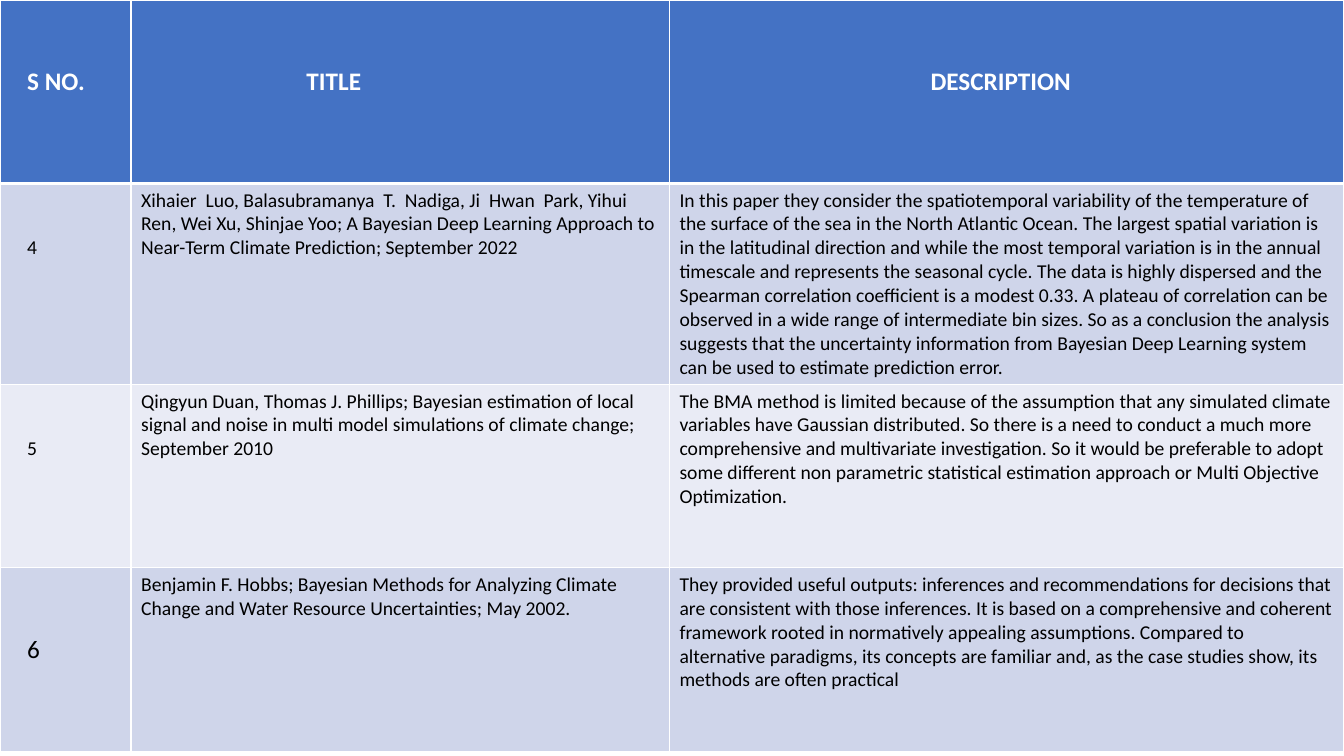
from dataclasses import dataclass

from lxml.etree import SubElement
from pptx import Presentation
from pptx.dml.color import RGBColor
from pptx.oxml.ns import qn
from pptx.table import _Cell
from pptx.util import Inches, Pt

COLORS = {
    "header": "4472C4",
    "band_dark": "CFD5EA",
    "band_light": "E9EBF5",
    "white": "FFFFFF",
    "black": "000000",
}
FONT = "Calibri"
SLIDE_W, SLIDE_H = 13.33, 7.5
COLUMNS = (1.3, 5.34, 6.69)
ROW = 1.82
PAD_X, PAD_Y = 0.1, 0.05
LINES_ABOVE = 2
LINE_HEIGHT = 1.22


@dataclass(frozen=True)
class CellStyle:
    fill: str
    size: int = 14
    color: str = "black"
    bold: bool = False
    indent: float = PAD_X
    lowered: bool = False
    top_line: int = 1
    bottom_line: int = 1


@dataclass(frozen=True)
class Paper:
    number: str
    title: str
    description: str
    number_size: int = 14


HEADINGS = (("S NO.", 0.27), ("TITLE", 1.74), ("DESCRIPTION", 2.59))

PAPERS = (
    Paper(
        "4",
        "Xihaier  Luo, Balasubramanya  T.  Nadiga, Ji  Hwan  Park, Yihui Ren, Wei Xu, "
        "Shinjae Yoo; A Bayesian Deep Learning Approach to Near-Term Climate Prediction; "
        "September 2022",
        "In this paper they consider the spatiotemporal variability of the temperature of "
        "the surface of the sea in the North Atlantic Ocean. The largest spatial variation "
        "is in the latitudinal direction and while the most temporal variation is in the "
        "annual timescale and represents the seasonal cycle. The data is highly dispersed "
        "and the Spearman correlation coefficient is a modest 0.33. A plateau of "
        "correlation can be observed in a wide range of intermediate bin sizes. So as a "
        "conclusion the analysis suggests that the uncertainty information from Bayesian "
        "Deep Learning system can be used to estimate prediction error.",
    ),
    Paper(
        "5",
        "Qingyun Duan, Thomas J. Phillips; Bayesian estimation of local signal and noise "
        "in multi model simulations of climate change;\nSeptember 2010",
        "The BMA method is limited because of the assumption that any simulated climate "
        "variables have Gaussian distributed. So there is a need to conduct a much more "
        "comprehensive and multivariate investigation. So it would be preferable to adopt "
        "some different non parametric statistical estimation approach or Multi Objective "
        "Optimization.",
    ),
    Paper(
        "6",
        "Benjamin F. Hobbs; Bayesian Methods for Analyzing Climate Change and Water "
        "Resource Uncertainties; May 2002.",
        "They provided useful outputs: inferences and recommendations for decisions that "
        "are consistent with those inferences. It is based on a comprehensive and coherent "
        "framework rooted in normatively appealing assumptions. Compared to alternative "
        "paradigms, its concepts are familiar and, as the case studies show, its methods "
        "are often practical",
        number_size=18,
    ),
)


def rgb(name: str) -> RGBColor:
    return RGBColor.from_string(COLORS[name])


def add_borders(cell: _Cell, style: CellStyle) -> None:
    tc_pr = cell._tc.get_or_add_tcPr()
    widths = {"lnL": 1, "lnR": 1, "lnT": style.top_line, "lnB": style.bottom_line}
    for i, (tag, width) in enumerate(widths.items()):
        ln = SubElement(tc_pr, qn(f"a:{tag}"), w=str(Pt(width)))
        fill = SubElement(ln, qn("a:solidFill"))
        SubElement(fill, qn("a:srgbClr"), val=COLORS["white"])
        tc_pr.insert(i, ln)


def fill_cell(cell: _Cell, text: str, style: CellStyle) -> None:
    cell.fill.solid()
    cell.fill.fore_color.rgb = rgb(style.fill)
    add_borders(cell, style)
    drop = LINES_ABOVE * LINE_HEIGHT * style.size / 72 if style.lowered else 0
    cell.margin_left, cell.margin_right = Inches(style.indent), Inches(PAD_X)
    cell.margin_top, cell.margin_bottom = Inches(PAD_Y + drop), Inches(PAD_Y)
    cell.text_frame.text = text
    for p in cell.text_frame.paragraphs:
        for r in p.runs:
            r.font.name = FONT
            r.font.size = Pt(style.size)
            r.font.bold = style.bold
            r.font.color.rgb = rgb(style.color)


def main() -> None:
    prs = Presentation()
    prs.slide_width, prs.slide_height = Inches(SLIDE_W), Inches(SLIDE_H)
    slide = prs.slides.add_slide(prs.slide_layouts[6])
    n_rows = len(PAPERS) + 1
    table = slide.shapes.add_table(
        n_rows, len(COLUMNS), 0, 0, Inches(sum(COLUMNS)), Inches(n_rows * ROW)
    ).table
    for column, width in zip(table.columns, COLUMNS):
        column.width = Inches(width)
    for row in table.rows:
        row.height = Inches(ROW)

    for col, (heading, indent) in enumerate(HEADINGS):
        style = CellStyle("header", 18, "white", True, indent, True, bottom_line=3)
        fill_cell(table.cell(0, col), heading, style)

    for row, paper in enumerate(PAPERS, start=1):
        band = "band_dark" if row % 2 else "band_light"
        top_line = 3 if row == 1 else 1
        number = CellStyle(band, paper.number_size, indent=HEADINGS[0][1],
                           lowered=True, top_line=top_line)
        body = CellStyle(band, top_line=top_line)
        fill_cell(table.cell(row, 0), paper.number, number)
        fill_cell(table.cell(row, 1), paper.title, body)
        fill_cell(table.cell(row, 2), paper.description, body)

    prs.save("out.pptx")


if __name__ == "__main__":
    main()
